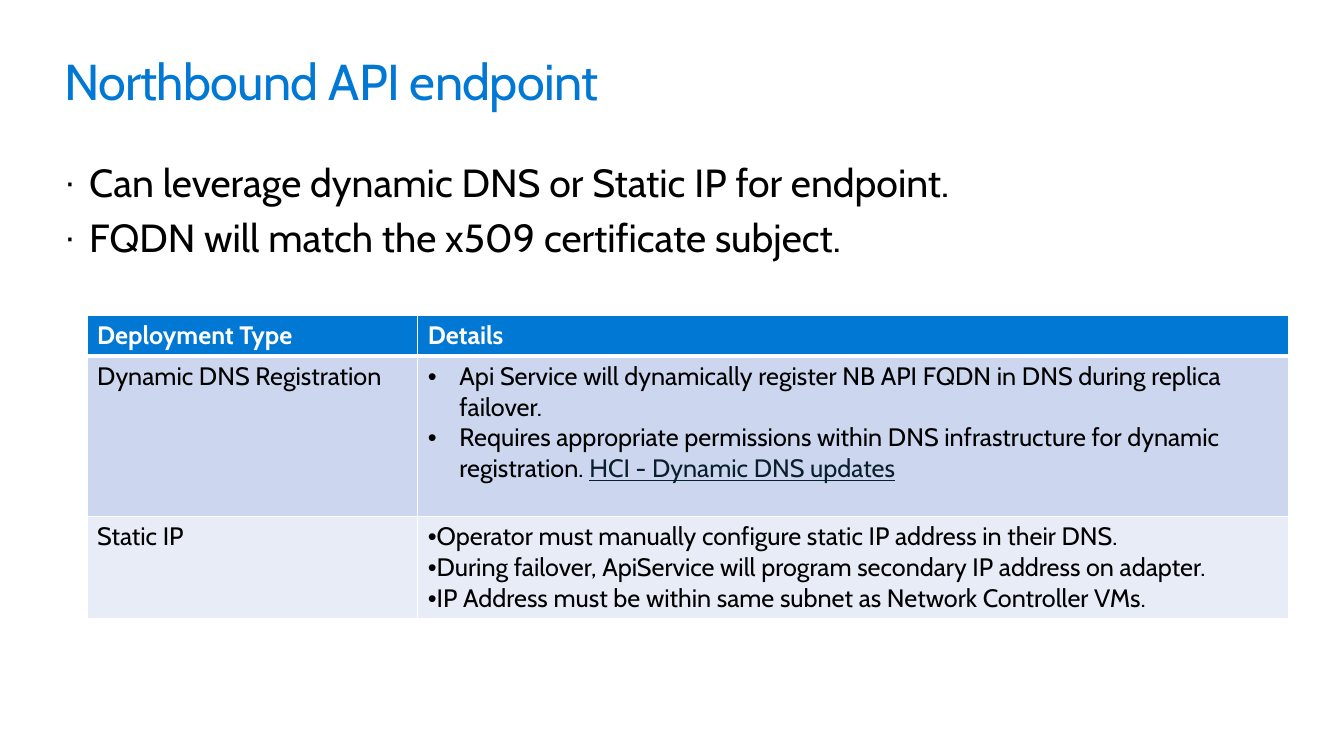
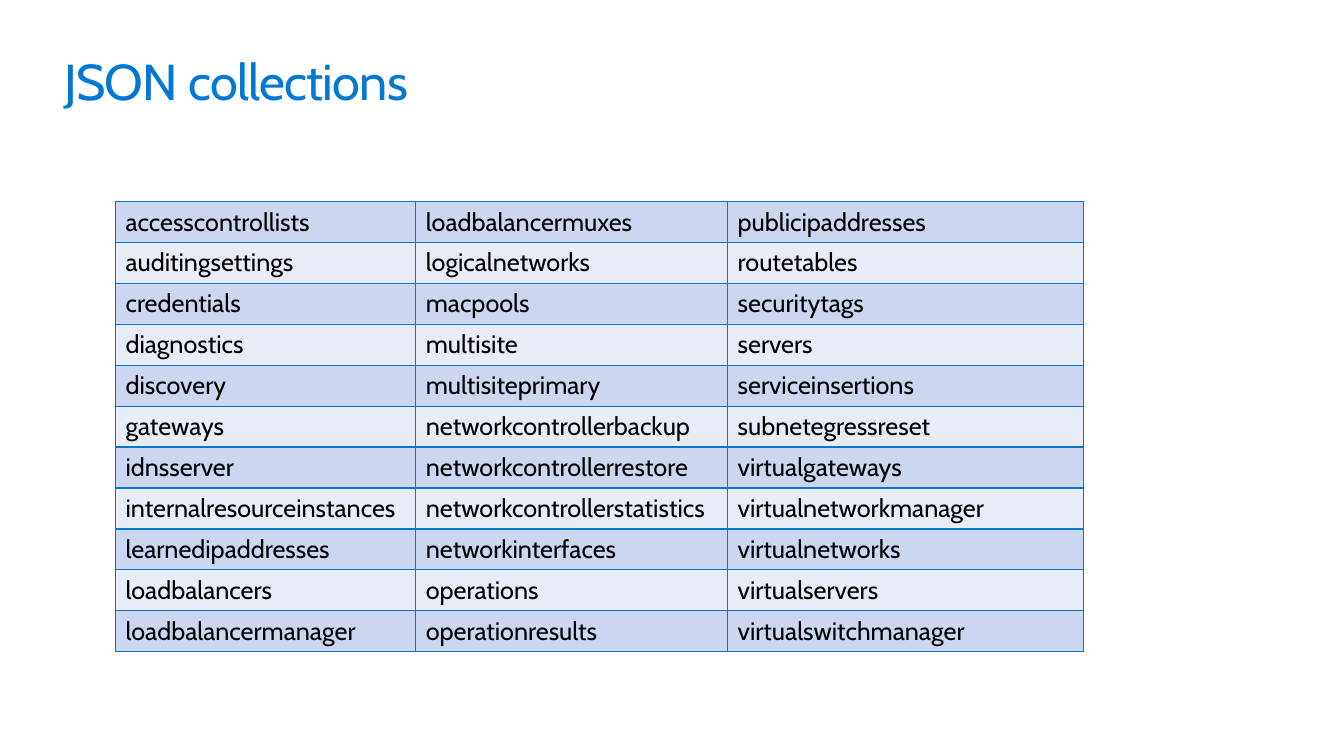
from lxml.etree import SubElement
from pptx import Presentation
from pptx.dml.color import RGBColor
from pptx.enum.text import MSO_ANCHOR, MSO_AUTO_SIZE, PP_ALIGN
from pptx.oxml.ns import qn
from pptx.util import Pt

EMU_PER_PX = 9525  # 96 px to the inch
FONT = "Cabin"
COLORS = {
    "accent": "0078D4",
    "text": "000000",
    "link": "091F2C",
    "white": "FFFFFF",
    "band_dark": "CCD6EF",
    "band_light": "E7ECF7",
}
BANDS = ("band_dark", "band_light")
LEFT, CONTENT_WIDTH = 61, 1157
ROW_HEIGHT = 39
HANGING = 30

DEPLOYMENT_HEADINGS = ("Deployment Type", "Details")
DNS_DETAILS = (
    "Api Service will dynamically register NB API FQDN in DNS during replica failover.",
    "Requires appropriate permissions within DNS infrastructure for dynamic registration. ",
)
DNS_LINK = "HCI - Dynamic DNS updates"
STATIC_DETAILS = (
    "Operator must manually configure static IP address in their DNS.",
    "During failover, ApiService will program secondary IP address on adapter.",
    "IP Address must be within same subnet as Network Controller VMs.",
)
COLLECTION_COLUMNS = (
    ("accesscontrollists", "auditingsettings", "credentials", "diagnostics",
     "discovery", "gateways", "idnsserver", "internalresourceinstances",
     "learnedipaddresses", "loadbalancers", "loadbalancermanager"),
    ("loadbalancermuxes", "logicalnetworks", "macpools", "multisite",
     "multisiteprimary", "networkcontrollerbackup", "networkcontrollerrestore",
     "networkcontrollerstatistics", "networkinterfaces", "operations",
     "operationresults"),
    ("publicipaddresses", "routetables", "securitytags", "servers",
     "serviceinsertions", "subnetegressreset", "virtualgateways",
     "virtualnetworkmanager", "virtualnetworks", "virtualservers",
     "virtualswitchmanager"),
)


def px(length):
    return length * EMU_PER_PX


def rgb(color):
    return RGBColor.from_string(COLORS[color])


def style_run(run, size=18, color="text", bold=False, underline=False):
    font = run.font
    font.name, font.size, font.bold = FONT, Pt(size), bold
    font.color.rgb = rgb(color)
    if underline:
        font.underline = True


def add_bullet(paragraph, symbol, margin, hanging, percent=100):
    properties = paragraph._p.get_or_add_pPr()
    properties.set("marL", str(px(margin)))
    properties.set("indent", str(px(-hanging)))
    SubElement(properties, qn("a:buSzPct"), val=str(percent * 1000))
    SubElement(properties, qn("a:buFont"), typeface="Arial")
    SubElement(properties, qn("a:buChar"), char=symbol)


def write_lines(frame, lines, **style):
    frame.text = "\n".join(lines)
    for paragraph in frame.paragraphs:
        for run in paragraph.runs:
            style_run(run, **style)


def prepare_frame(frame):
    """Remove the insets and let the box grow with wrapped text."""
    frame.margin_left = frame.margin_top = frame.margin_right = frame.margin_bottom = 0
    frame.word_wrap = True
    frame.vertical_anchor = MSO_ANCHOR.TOP
    frame.auto_size = MSO_AUTO_SIZE.SHAPE_TO_FIT_TEXT


def add_titled_slide(deck, heading):
    slide = deck.slides.add_slide(deck.slide_layouts[5])
    title = slide.shapes.title
    title.left, title.top = px(LEFT), px(48)
    title.width, title.height = px(CONTENT_WIDTH), px(59)
    frame = title.text_frame
    prepare_frame(frame)
    write_lines(frame, [heading], size=36, color="accent")
    paragraph = frame.paragraphs[0]
    paragraph.alignment = PP_ALIGN.LEFT
    paragraph.runs[0]._r.get_or_add_rPr().set("spc", "-50")
    return slide


def add_bullet_list(slide, lines, top, height):
    box = slide.shapes.add_textbox(px(LEFT), px(top), px(CONTENT_WIDTH), px(height))
    frame = box.text_frame
    prepare_frame(frame)
    write_lines(frame, lines, size=28)
    for number, paragraph in enumerate(frame.paragraphs):
        add_bullet(paragraph, "·", margin=24, hanging=24, percent=90)
        if number:
            paragraph.space_before = Pt(5.6)


def set_borders(cell, color, top=1, bottom=1):
    properties = cell._tc.get_or_add_tcPr()
    for side, points in (("L", 1), ("R", 1), ("T", top), ("B", bottom)):
        line = SubElement(properties, qn(f"a:ln{side}"), w=str(Pt(points)))
        fill = SubElement(line, qn("a:solidFill"))
        SubElement(fill, qn("a:srgbClr"), val=COLORS[color])


def fill_cell(cell, color):
    cell.fill.solid()
    cell.fill.fore_color.rgb = rgb(color)


def add_grid(slide, left, top, column_widths, row_heights):
    """Add an unbanded table whose cells are still to be styled."""
    table = slide.shapes.add_table(
        len(row_heights), len(column_widths), px(left), px(top),
        px(sum(column_widths)), px(sum(row_heights))).table
    table.first_row = table.horz_banding = False
    for column, width in zip(table.columns, column_widths):
        column.width = px(width)
    for row, height in zip(table.rows, row_heights):
        row.height = px(height)
    return table


def add_deployment_table(slide):
    table = add_grid(slide, 83, 300, (315, 829), (ROW_HEIGHT, 153, 97))
    for cell, heading in zip(table.rows[0].cells, DEPLOYMENT_HEADINGS):
        set_borders(cell, "white", bottom=3)
        fill_cell(cell, "accent")
        write_lines(cell.text_frame, [heading], color="white", bold=True)

    deployments = (
        ("Dynamic DNS Registration", DNS_DETAILS, HANGING),
        ("Static IP", STATIC_DETAILS, 0),
    )
    for number, (deployment, details, margin) in enumerate(deployments):
        type_cell, details_cell = table.rows[number + 1].cells
        for cell, lines in ((type_cell, [deployment]), (details_cell, details)):
            set_borders(cell, "white", top=1 if number else 3)
            fill_cell(cell, BANDS[number])
            write_lines(cell.text_frame, lines)
        for paragraph in details_cell.text_frame.paragraphs:
            add_bullet(paragraph, "•", margin, HANGING)

    link = table.cell(1, 1).text_frame.paragraphs[-1].add_run()
    link.text = DNS_LINK
    style_run(link, color="link", underline=True)


def add_collections_table(slide):
    rows = list(zip(*COLLECTION_COLUMNS))
    table = add_grid(slide, 110, 192, (286, 297, 339), [ROW_HEIGHT] * len(rows))
    for number, collections in enumerate(rows):
        for cell, collection in zip(table.rows[number].cells, collections):
            set_borders(cell, "accent")
            fill_cell(cell, BANDS[number % 2])
            write_lines(cell.text_frame, [collection])


def main():
    deck = Presentation()
    deck.slide_width, deck.slide_height = px(1280), px(720)

    endpoint = add_titled_slide(deck, "Northbound API endpoint")
    add_bullet_list(endpoint, (
        "Can leverage dynamic DNS or Static IP for endpoint.",
        "FQDN will match the x509 certificate subject.",
    ), top=151, height=100)
    add_deployment_table(endpoint)

    add_collections_table(add_titled_slide(deck, "JSON collections"))

    deck.save("out.pptx")


if __name__ == "__main__":
    main()
